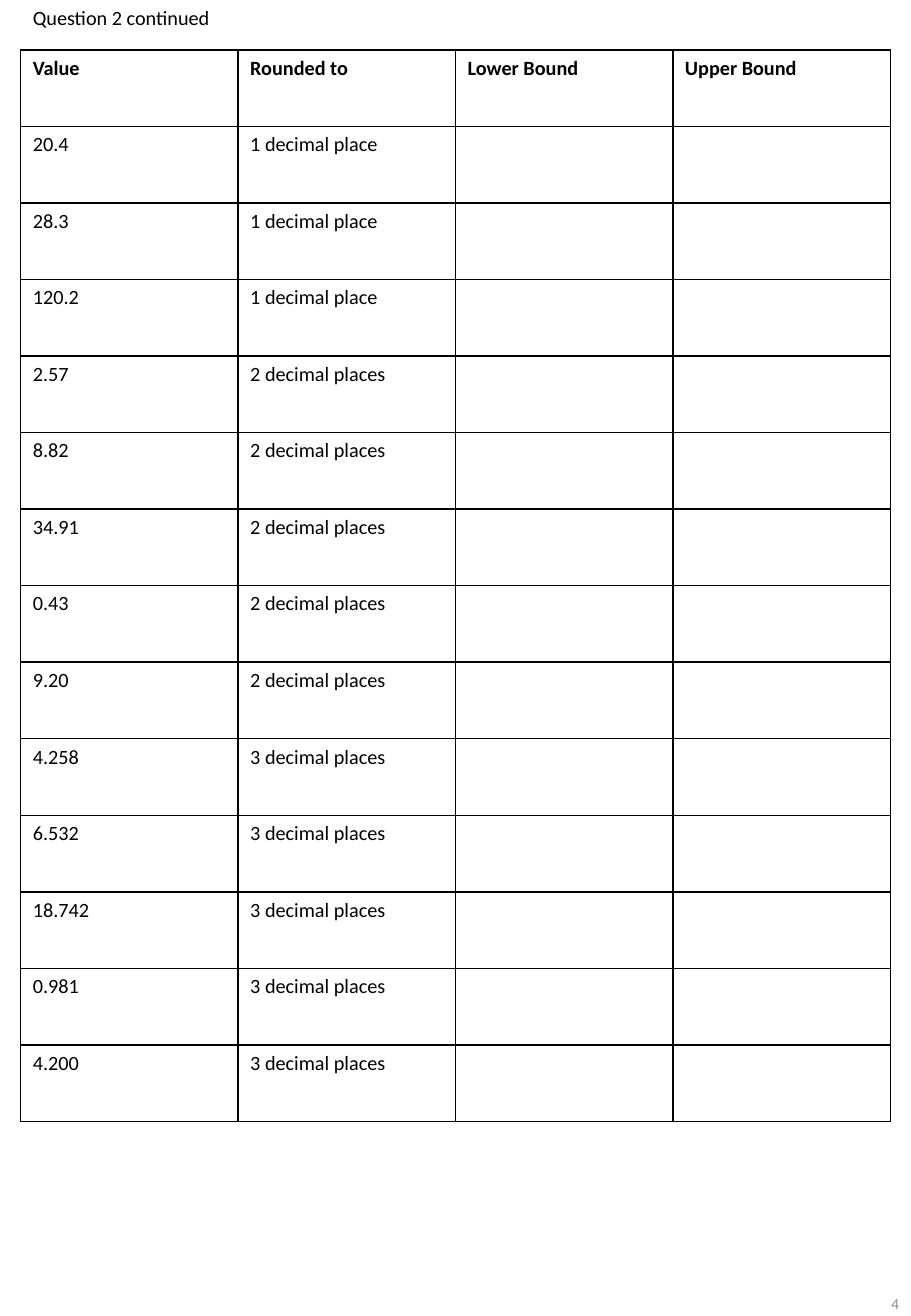
from lxml.etree import SubElement
from pptx import Presentation
from pptx.dml.color import RGBColor
from pptx.enum.text import MSO_ANCHOR, PP_ALIGN
from pptx.oxml.ns import qn
from pptx.util import Inches, Pt

WIDE, HIGH = 7.5, 10.83
LEFT, COL, HEAD, ROW = 0.17, 1.79, 0.41, 0.63
INK = {"text": "000000", "rule": "000000", "page": "8C8C8C"}
TITLE = "Question 2 continued"
HEADS = ["Value", "Rounded to", "Lower Bound", "Upper Bound"]
VALUES = {
    "1 decimal place": ["20.4", "28.3", "120.2"],
    "2 decimal places": ["2.57", "8.82", "34.91", "0.43", "9.20"],
    "3 decimal places": ["4.258", "6.532", "18.742", "0.981", "4.200"],
}


def write(frame, text, size, ink, bold=False):
    para = frame.paragraphs[0]
    para.text = text
    para.font.name = "Calibri"
    para.font.size = Pt(size)
    para.font.bold = bold
    para.font.color.rgb = RGBColor.from_string(INK[ink])
    return para


def rule(cell, sides):
    """Draw the named sides of a cell and clear the others."""
    props = cell._tc.get_or_add_tcPr()
    for side in "LRTB":
        line = SubElement(props, qn(f"a:ln{side}"), w=str(Pt(1)))
        if side in sides:
            fill = SubElement(line, qn("a:solidFill"))
            SubElement(fill, qn("a:srgbClr"), val=INK["rule"])
        else:
            SubElement(line, qn("a:noFill"))


def add_grid(slide):
    rows = [[TITLE, "", "", ""], HEADS]
    rows += [[value, places, "", ""]
             for places, values in VALUES.items() for value in values]
    count = len(HEADS)
    table = slide.shapes.add_table(
        len(rows), count, Inches(LEFT), 0, Inches(COL * count),
        Inches(HEAD + ROW * (len(rows) - 1))).table
    table.first_row = table.horz_banding = False
    for col in table.columns:
        col.width = Inches(COL)
    for r, texts in enumerate(rows):
        table.rows[r].height = Inches(ROW if r else HEAD)
        for c, text in enumerate(texts):
            cell = table.cell(r, c)
            write(cell.text_frame, text, 12, "text", bold=r == 1)
            rule(cell, "LRTB" if r else "B")
            cell.fill.background()
    table.cell(0, 0).merge(table.cell(0, count - 1))


def add_page(slide, number):
    wide, high = 1.69, 0.58
    box = slide.shapes.add_textbox(
        Inches(WIDE - wide), Inches(10.44), Inches(wide), Inches(high))
    frame = box.text_frame
    frame.word_wrap = True
    frame.vertical_anchor = MSO_ANCHOR.MIDDLE
    write(frame, number, 9, "page").alignment = PP_ALIGN.RIGHT


def main():
    deck = Presentation()
    deck.slide_width, deck.slide_height = Inches(WIDE), Inches(HIGH)
    slide = deck.slides.add_slide(deck.slide_layouts[6])
    add_page(slide, "4")
    add_grid(slide)
    deck.save("out.pptx")


if __name__ == "__main__":
    main()
